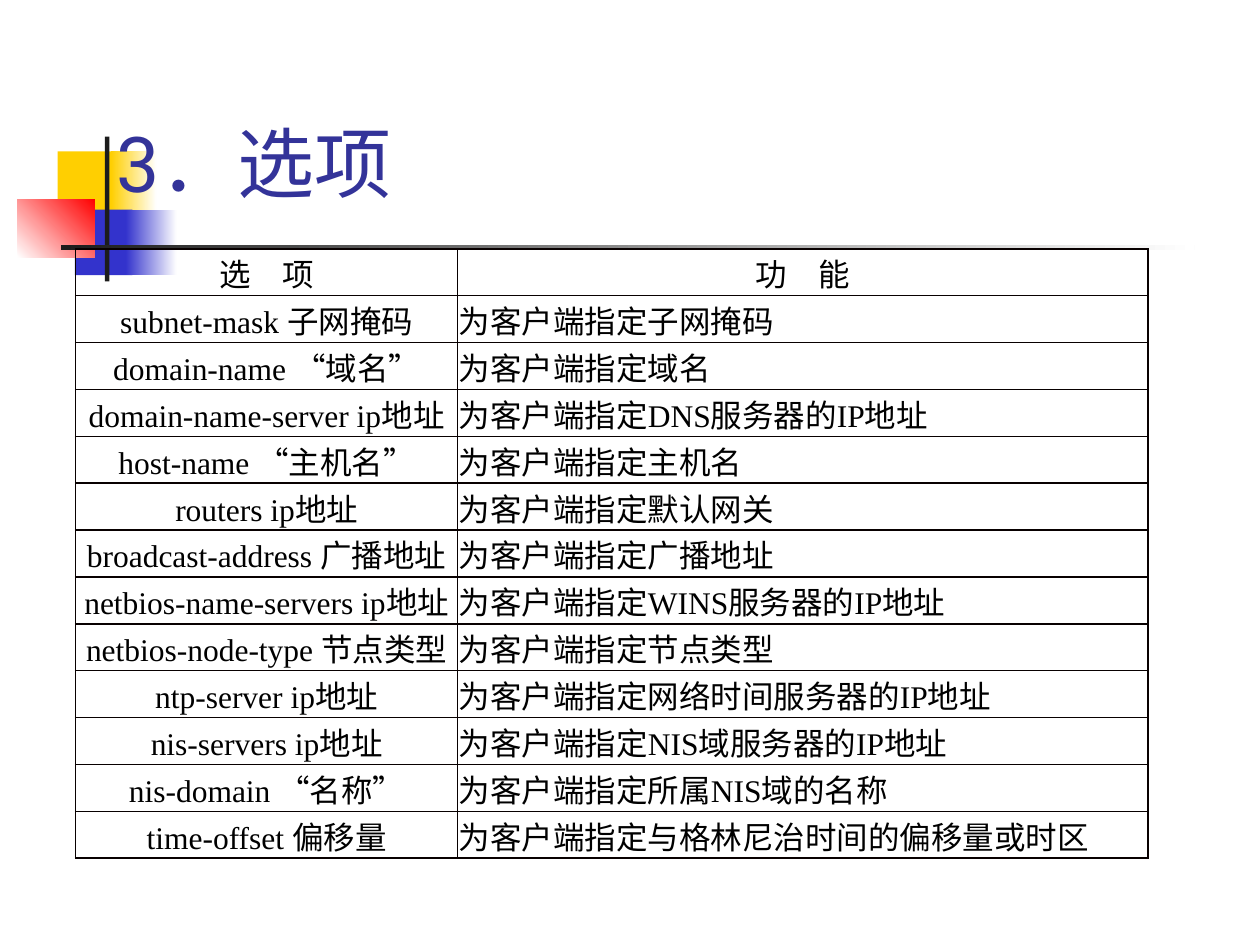
from itertools import groupby

from lxml import etree
from pptx import Presentation
from pptx import util as u
from pptx.dml import color
from pptx.enum import shapes, text
from pptx.oxml import ns

HUES = {
    "gold": "FFCF01", "blue": "3333CC", "red": "FF0000", "dark": "1C1C1C",
    "white": "FFFFFF", "title": "333399", "text": "000000", "border": "080000",
}
HAN = "Noto Sans CJK SC"
LATIN = "Times New Roman"

BLOCKS = [
    (33, 86.5, 34.5, 37.5, "gold"),
    (63.5, 86.5, 26, 37.5, "gold", "white"),
    (42.75, 119.75, 33, 37.5, "blue"),
    (72, 119.75, 29, 37.5, "blue", "white"),
    (10, 113.75, 44.25, 33.5, "white", "red", 45),
    (60, 78, 2.5, 82.75, "dark"),
    (34.75, 140.2, 648, 2.6, "dark", "white"),
    (462.25, 479.5, 232.5, 60.5, "white"),
]

ROWS = [
    ("选　项", "功　能"),
    ("subnet-mask 子网掩码", "为客户端指定子网掩码"),
    ("domain-name “域名”", "为客户端指定域名"),
    ("domain-name-server ip地址", "为客户端指定DNS服务器的IP地址"),
    ("host-name “主机名”", "为客户端指定主机名"),
    ("routers ip地址", "为客户端指定默认网关"),
    ("broadcast-address 广播地址", "为客户端指定广播地址"),
    ("netbios-name-servers ip地址", "为客户端指定WINS服务器的IP地址"),
    ("netbios-node-type 节点类型", "为客户端指定节点类型"),
    ("ntp-server ip地址", "为客户端指定网络时间服务器的IP地址"),
    ("nis-servers ip地址", "为客户端指定NIS域服务器的IP地址"),
    ("nis-domain “名称”", "为客户端指定所属NIS域的名称"),
    ("time-offset 偏移量", "为客户端指定与格林尼治时间的偏移量或时区"),
]


def rgb(name):
    return color.RGBColor.from_string(HUES[name])


def write(frame, words, size=18, hue="text", latin=LATIN, han=HAN, align="LEFT"):
    para = frame.paragraphs[0]
    para.alignment = getattr(text.PP_ALIGN, align)
    for plain, chars in groupby(words, str.isascii):
        run = para.add_run()
        run.text = "".join(chars)
        run.font.size = u.Pt(size)
        run.font.color.rgb = rgb(hue)
        face = latin if plain else han
        run.font.name = face
        etree.SubElement(run.font._element, ns.qn("a:ea"), typeface=face)


def block(slide, left, top, width, height, start, end=None, angle=0):
    shape = slide.shapes.add_shape(
        shapes.MSO_SHAPE.RECTANGLE, *map(u.Pt, (left, top, width, height)))
    shape.shadow.inherit = False
    shape.line.fill.background()
    if end:
        shape.fill.gradient()
        shape.fill.gradient_angle = angle
        for stop, hue, place in zip(shape.fill.gradient_stops, (start, end), (0, 1)):
            stop.color.rgb = rgb(hue)
            stop.position = place
    else:
        shape.fill.solid()
        shape.fill.fore_color.rgb = rgb(start)


def title(slide, words):
    box = slide.shapes.add_textbox(*map(u.Pt, (59.75, 31.7, 642.25, 90.7)))
    frame = box.text_frame
    frame.word_wrap = True
    frame.vertical_anchor = text.MSO_ANCHOR.BOTTOM
    write(frame, words, size=44, hue="title", latin="Roboto")


def border(cell):
    props = cell._tc.get_or_add_tcPr()
    for spot, side in enumerate(("lnL", "lnR", "lnT", "lnB")):
        line = etree.Element(ns.qn("a:" + side), w=str(u.Pt(1)))
        fill = etree.SubElement(line, ns.qn("a:solidFill"))
        etree.SubElement(fill, ns.qn("a:srgbClr"), val=HUES["border"])
        props.insert(spot, line)


def table(slide, rows):
    widths = (218.25, 394.5)
    high = 26.8
    grid = slide.shapes.add_table(
        len(rows), len(widths), u.Pt(43.25), u.Pt(142.2),
        u.Pt(sum(widths)), u.Pt(high * len(rows))).table
    grid.first_row = grid.horz_banding = False
    for col, width in zip(grid.columns, widths):
        col.width = u.Pt(width)
    for r, row in enumerate(rows):
        grid.rows[r].height = u.Pt(high)
        for c, words in enumerate(row):
            cell = grid.cell(r, c)
            cell.fill.background()
            cell.vertical_anchor = text.MSO_ANCHOR.MIDDLE
            cell.margin_left = cell.margin_right = cell.margin_top = u.Pt(0.75)
            cell.margin_bottom = u.Pt(1.25)
            border(cell)
            write(cell.text_frame, words,
                  align="CENTER" if r == 0 or c == 0 else "LEFT")


def main():
    deck = Presentation()
    deck.slide_width, deck.slide_height = u.Pt(720), u.Pt(540)
    slide = deck.slides.add_slide(deck.slide_layouts[6])
    for item in BLOCKS:
        block(slide, *item)
    title(slide, "3．选项")
    table(slide, ROWS)
    deck.save("out.pptx")


if __name__ == "__main__":
    main()
